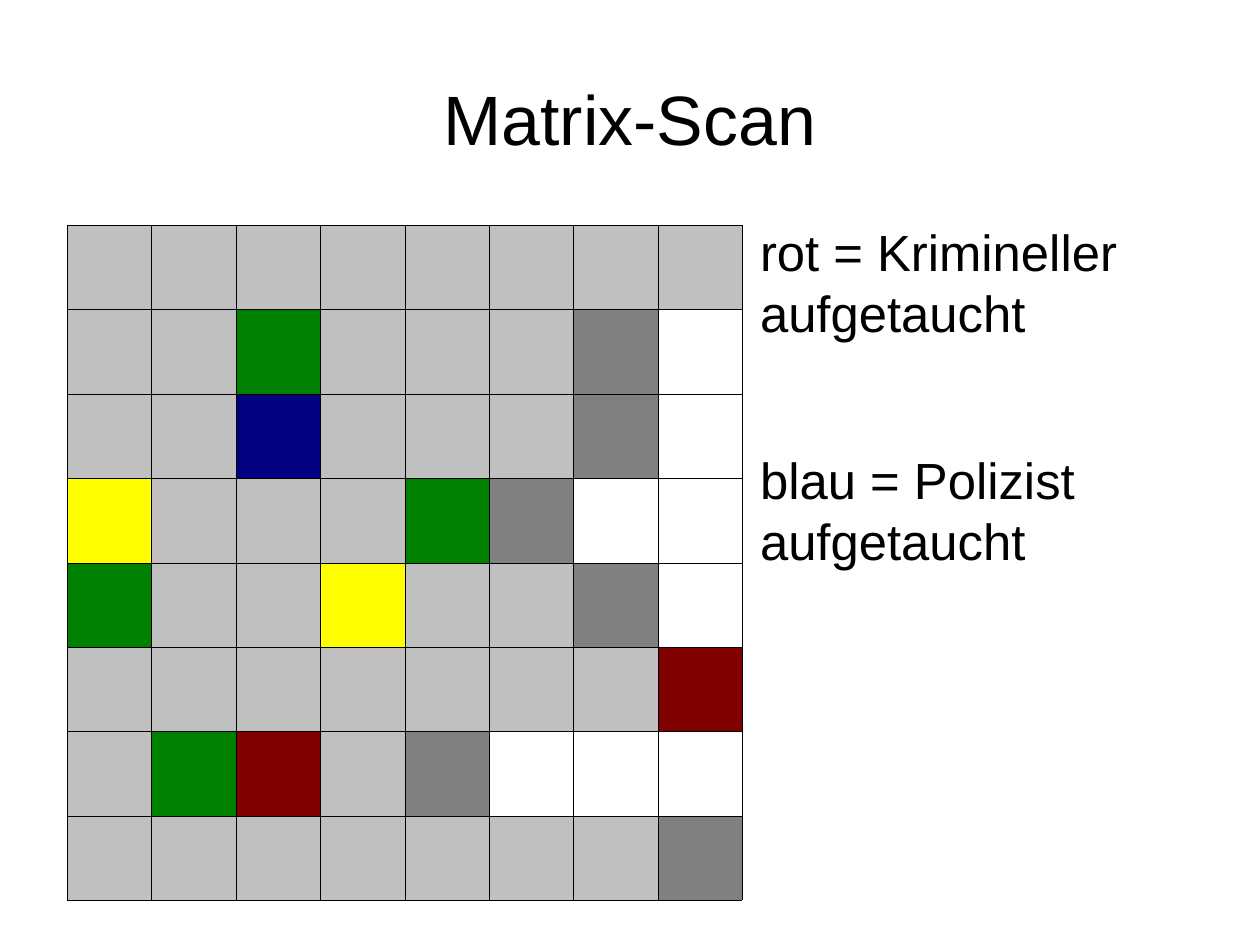
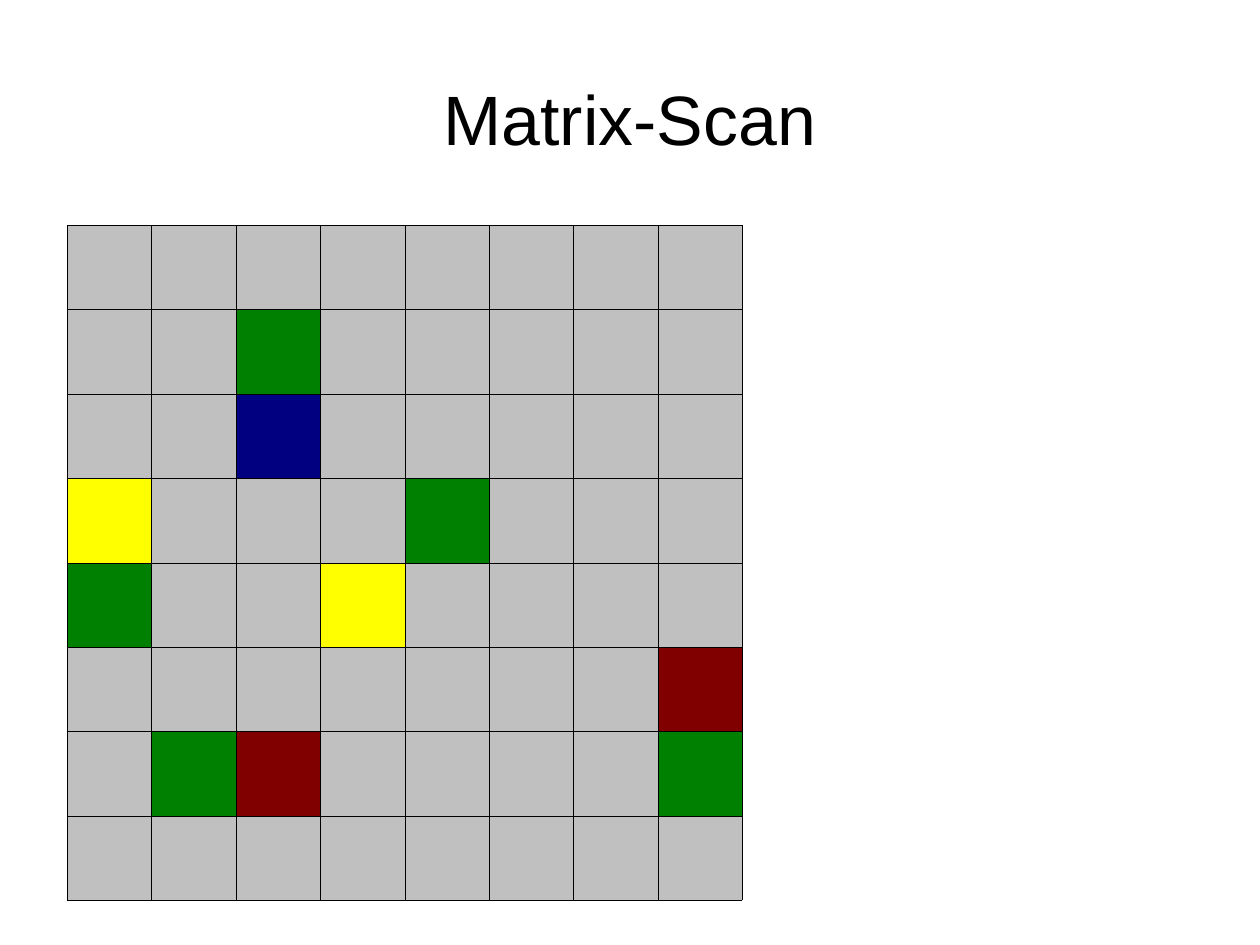
import pptx
import pptx.util
import pptx.dml.color
import pptx.enum.text
import lxml.etree

PX = 8000
SLIDE_SIZE = (1260, 945)
TITLE_BOX = (63, 38, 1134, 158)
MATRIX_BOX = (67, 225, 675, 675)
LEGEND_BOX = (760, 221, 455, 679)
FONT = "Arial"
BLACK = "000000"
BORDER_WIDTH = 762

CELL_COLOURS = {
    ".": "C0C0C0",
    "d": "808080",
    "w": "FFFFFF",
    "g": "008000",
    "b": "000080",
    "y": "FFFF00",
    "r": "800000",
}

SCANS = [
    {
        "title": "Matrix-Scan",
        "matrix": [
            "........",
            "..g...dw",
            "..b...dw",
            "y...gdww",
            "g..y..dw",
            ".......r",
            ".gr.dwww",
            ".......d",
        ],
        "legend": ["rot = Krimineller aufgetaucht", "blau = Polizist aufgetaucht"],
    },
    {
        "title": "Matrix-Scan",
        "matrix": [
            "........",
            "..g.....",
            "..b.....",
            "y...g...",
            "g..y....",
            ".......r",
            ".gr....g",
            "........",
        ],
        "legend": [],
    },
]


def emu(box):
    return [length * PX for length in box]


def colour(value):
    return pptx.dml.color.RGBColor.from_string(value)


def format_frame(frame, size, line_height, align, anchor, gap=0):
    frame.word_wrap = True
    frame.auto_size = pptx.enum.text.MSO_AUTO_SIZE.NONE
    frame.vertical_anchor = anchor
    frame.margin_left = frame.margin_right = 0
    frame.margin_top = frame.margin_bottom = 0
    for paragraph in frame.paragraphs:
        paragraph.alignment = align
        paragraph.line_spacing = pptx.util.Pt(line_height)
        paragraph.space_after = pptx.util.Pt(gap)
        for run in paragraph.runs:
            run.font.name = FONT
            run.font.size = pptx.util.Pt(size)
            run.font.color.rgb = colour(BLACK)


def add_title(slide, text):
    title = slide.shapes.title
    title.left, title.top, title.width, title.height = emu(TITLE_BOX)
    title.text_frame.text = text
    format_frame(title.text_frame, 44, 53, pptx.enum.text.PP_ALIGN.CENTER,
                 pptx.enum.text.MSO_ANCHOR.MIDDLE)


def add_borders(cell):
    properties = cell._tc.get_or_add_tcPr()
    for position, side in enumerate(("lnL", "lnR", "lnT", "lnB")):
        border = pptx.oxml.parse_xml(
            f'<a:{side} xmlns:a="http://schemas.openxmlformats.org/drawingml/2006/main" '
            f'w="{BORDER_WIDTH}"><a:solidFill><a:srgbClr val="{BLACK}"/></a:solidFill></a:{side}>'
        )
        properties.insert(position, border)


def spread(total, count):
    edges = [round(index * total / count) for index in range(count + 1)]
    return [end - start for start, end in zip(edges, edges[1:])]


def add_matrix(slide, rows):
    row_count, column_count = len(rows), len(rows[0])
    matrix = slide.shapes.add_table(row_count, column_count, *emu(MATRIX_BOX)).table
    matrix.first_row = matrix.horz_banding = False
    for column, width in zip(matrix.columns, spread(MATRIX_BOX[2], column_count)):
        column.width = width * PX
    for row, height in zip(matrix.rows, spread(MATRIX_BOX[3], row_count)):
        row.height = height * PX
    for cell, key in zip(matrix.iter_cells(), "".join(rows)):
        cell.fill.solid()
        cell.fill.fore_color.rgb = colour(CELL_COLOURS[key])
        add_borders(cell)


def add_legend(slide, entries):
    frame = slide.shapes.add_textbox(*emu(LEGEND_BOX)).text_frame
    frame.text = "\n".join(entries)
    format_frame(frame, 32, 38.4, pptx.enum.text.PP_ALIGN.LEFT,
                 pptx.enum.text.MSO_ANCHOR.TOP, gap=66.8)


def main():
    presentation = pptx.Presentation()
    presentation.slide_width, presentation.slide_height = emu(SLIDE_SIZE)
    title_only = presentation.slide_layouts[5]
    for scan in SCANS:
        slide = presentation.slides.add_slide(title_only)
        add_title(slide, scan["title"])
        add_matrix(slide, scan["matrix"])
        if scan["legend"]:
            add_legend(slide, scan["legend"])
    presentation.save("out.pptx")


if __name__ == "__main__":
    main()
